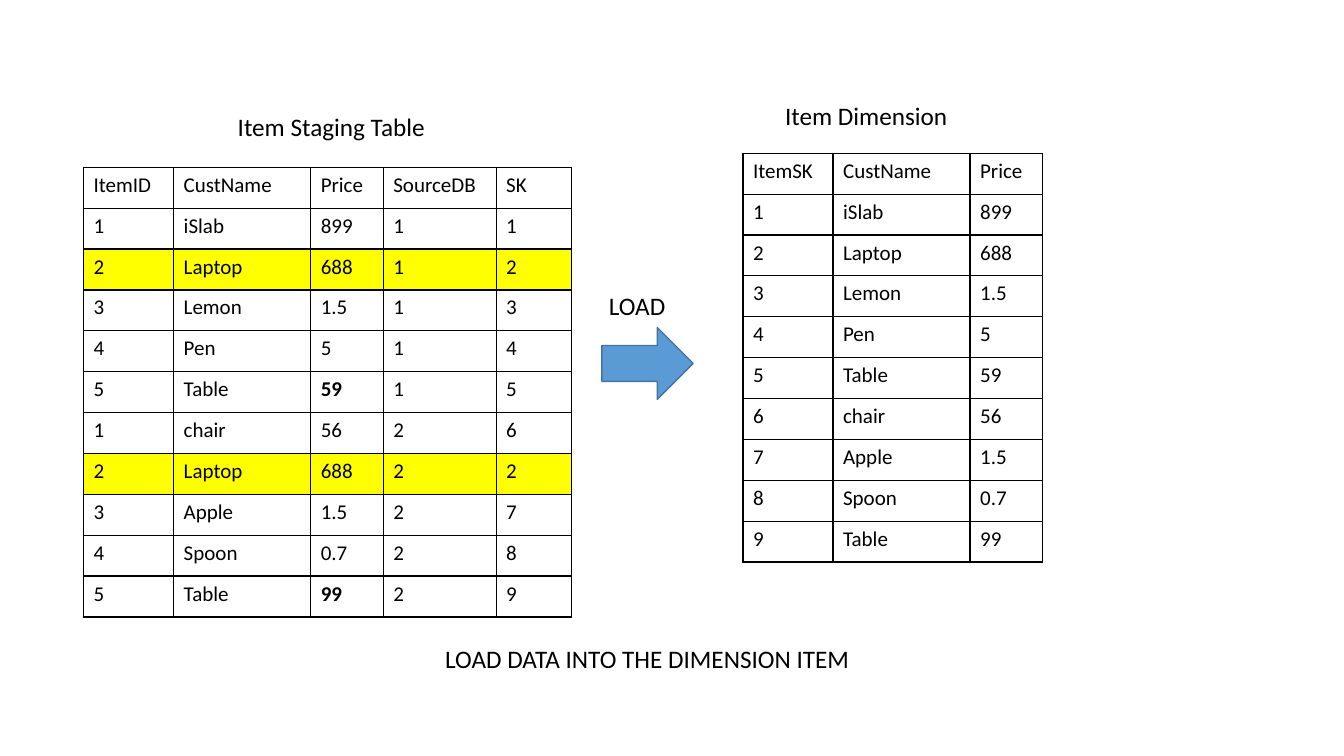
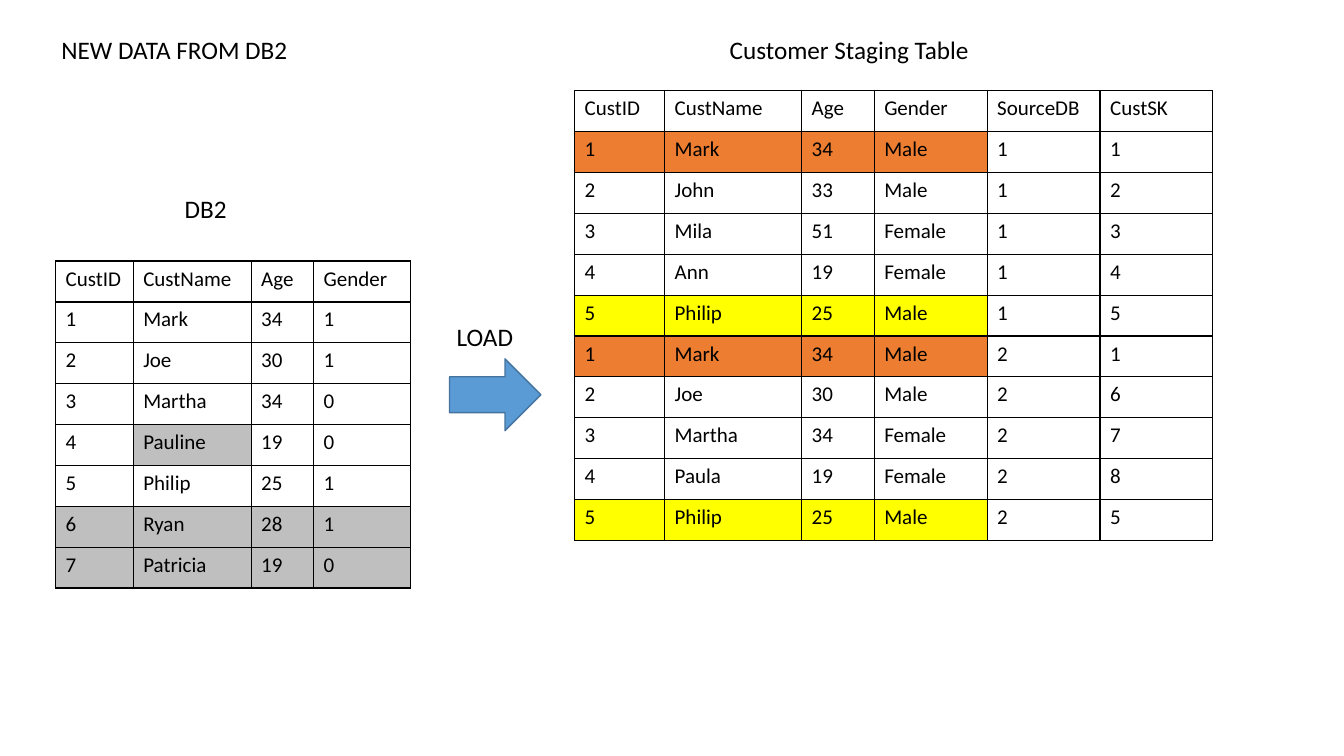
from lxml.etree import SubElement
from pptx import Presentation
from pptx.dml.color import RGBColor
from pptx.enum.shapes import MSO_SHAPE
from pptx.enum.text import PP_ALIGN
from pptx.oxml.ns import qn
from pptx.util import Inches, Pt

COLORS = {
    "text": "000000",
    "border": "000000",
    "arrow": "5B9BD5",
    "arrow_line": "43739E",
    "yellow": "FFFF00",
    "orange": "ED7D31",
    "gray": "BFBFBF",
}


def color(name):
    return RGBColor.from_string(COLORS[name])


class Deck:
    font = "Calibri"
    label_size, cell_size = 18, 15
    label_width, label_height = 23.4, 5.33
    row_height = 5.41

    def __init__(self):
        self.prs = Presentation()
        self.prs.slide_width = Inches(13.33)
        self.prs.slide_height = Inches(7.5)
        self.s = None

    def x(self, share):
        return round(self.prs.slide_width * share / 100)

    def y(self, share):
        return round(self.prs.slide_height * share / 100)

    def box(self, left, top, width, height):
        return self.x(left), self.y(top), self.x(width), self.y(height)

    def slide(self):
        self.s = self.prs.slides.add_slide(self.prs.slide_layouts[6])

    def run(self, p, text, size, bold=False):
        r = p.add_run()
        r.text = text
        r.font.name = self.font
        r.font.size = Pt(size)
        r.font.bold = bold
        r.font.color.rgb = color("text")

    def label(self, text, left, top, width=label_width, align=PP_ALIGN.LEFT):
        sp = self.s.shapes.add_textbox(*self.box(left, top, width, self.label_height))
        tf = sp.text_frame
        tf.word_wrap = True
        p = tf.paragraphs[0]
        p.alignment = align
        self.run(p, text, self.label_size)

    def load_arrow(self, left, top, label_width=label_width):
        sp = self.s.shapes.add_shape(MSO_SHAPE.RIGHT_ARROW, *self.box(left, top, 6.8, 9.5))
        sp.shadow.inherit = False
        sp.fill.solid()
        sp.fill.fore_color.rgb = color("arrow")
        sp.line.color.rgb = color("arrow_line")
        sp.line.width = Pt(1)
        self.label("LOAD", left - 0.22, top - 5.65, label_width)

    def borders(self, cell):
        tc_pr = cell._tc.get_or_add_tcPr()
        for i, side in enumerate(("lnL", "lnR", "lnT", "lnB")):
            ln = SubElement(tc_pr, qn(f"a:{side}"), w=str(Pt(1)))
            fill = SubElement(ln, qn("a:solidFill"))
            SubElement(fill, qn("a:srgbClr"), val=COLORS["border"])
            tc_pr.insert(i, ln)

    def table(self, left, top, widths, rows, marks=None, bold=()):
        marks = marks or {}
        frame = self.s.shapes.add_table(
            len(rows), len(widths),
            *self.box(left, top, sum(widths), self.row_height * len(rows)))
        table = frame.table
        table.first_row = table.horz_banding = False
        for column, width in zip(table.columns, widths):
            column.width = self.x(width)
        for i, row in enumerate(rows):
            table.rows[i].height = self.y(self.row_height)
            name, marked = marks.get(i, (None, ()))
            for j, text in enumerate(row.split()):
                cell = table.cell(i, j)
                if j in marked:
                    cell.fill.solid()
                    cell.fill.fore_color.rgb = color(name)
                else:
                    cell.fill.background()
                self.borders(cell)
                self.run(cell.text_frame.paragraphs[0], text, self.cell_size, (i, j) in bold)


def item_slide(deck):
    widths = [6.7, 10.2, 5.4, 8.4, 5.62]
    yellow = ("yellow", range(5))
    deck.slide()
    deck.table(6.22, 22.13, widths, [
        "ItemID CustName Price SourceDB SK",
        "1 iSlab 899 1 1",
        "2 Laptop 688 1 2",
        "3 Lemon 1.5 1 3",
        "4 Pen 5 1 4",
        "5 Table 59 1 5",
        "1 chair 56 2 6",
        "2 Laptop 688 2 2",
        "3 Apple 1.5 2 7",
        "4 Spoon 0.7 2 8",
        "5 Table 99 2 9",
    ], {2: yellow, 7: yellow}, bold={(5, 2), (10, 2)})
    deck.label("Item Staging Table", 16.95, 14.13)
    deck.load_arrow(44.78, 43.33, 8.4)
    deck.table(55.28, 20.27, widths[:3], [
        "ItemSK CustName Price",
        "1 iSlab 899",
        "2 Laptop 688",
        "3 Lemon 1.5",
        "4 Pen 5",
        "5 Table 59",
        "6 chair 56",
        "7 Apple 1.5",
        "8 Spoon 0.7",
        "9 Table 99",
    ])
    deck.label("LOAD DATA INTO THE DIMENSION ITEM", 24.23, 84.4, 47.85, PP_ALIGN.CENTER)
    deck.label("Item Dimension", 57.68, 12.67)


def customer_slide(deck):
    orange, yellow = ("orange", range(4)), ("yellow", range(4))
    gray = ("gray", range(4))
    deck.slide()
    deck.label("NEW DATA FROM DB2", 3.83, 3.87)
    deck.table(4.13, 34.53, [5.78, 8.78, 4.65, 7.2], [
        "CustID CustName Age Gender",
        "1 Mark 34 1",
        "2 Joe 30 1",
        "3 Martha 34 0",
        "4 Pauline 19 0",
        "5 Philip 25 1",
        "6 Ryan 28 1",
        "7 Patricia 19 0",
    ], {4: ("gray", [1]), 6: gray, 7: gray})
    deck.label("DB2", 3.6, 24.93, align=PP_ALIGN.CENTER)
    deck.label("Customer Staging Table", 53.55, 3.87)
    deck.load_arrow(33.45, 47.47)
    deck.table(42.75, 12, [6.7, 10.2, 5.4, 8.4, 8.4, 8.4], [
        "CustID CustName Age Gender SourceDB CustSK",
        "1 Mark 34 Male 1 1",
        "2 John 33 Male 1 2",
        "3 Mila 51 Female 1 3",
        "4 Ann 19 Female 1 4",
        "5 Philip 25 Male 1 5",
        "1 Mark 34 Male 2 1",
        "2 Joe 30 Male 2 6",
        "3 Martha 34 Female 2 7",
        "4 Paula 19 Female 2 8",
        "5 Philip 25 Male 2 5",
    ], {1: orange, 5: yellow, 6: orange, 10: yellow})


def main():
    deck = Deck()
    item_slide(deck)
    customer_slide(deck)
    deck.prs.save("out.pptx")


if __name__ == "__main__":
    main()
